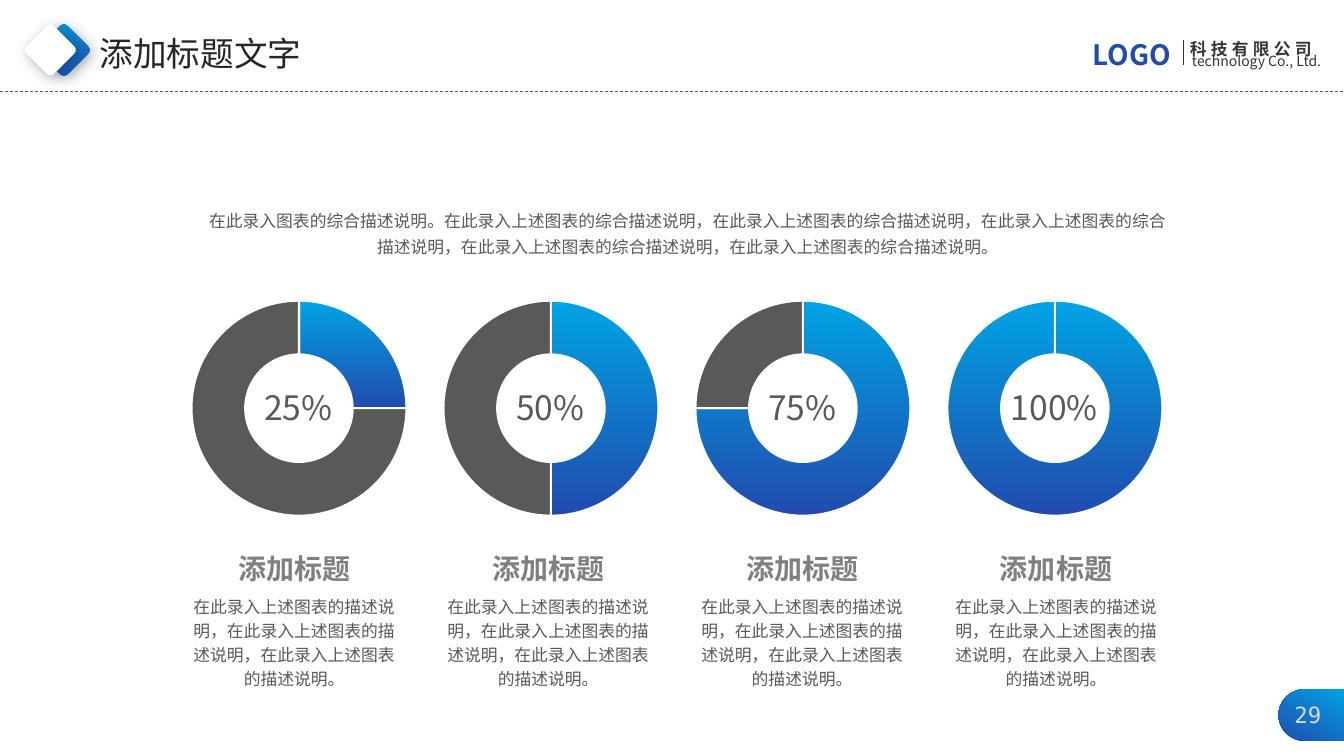
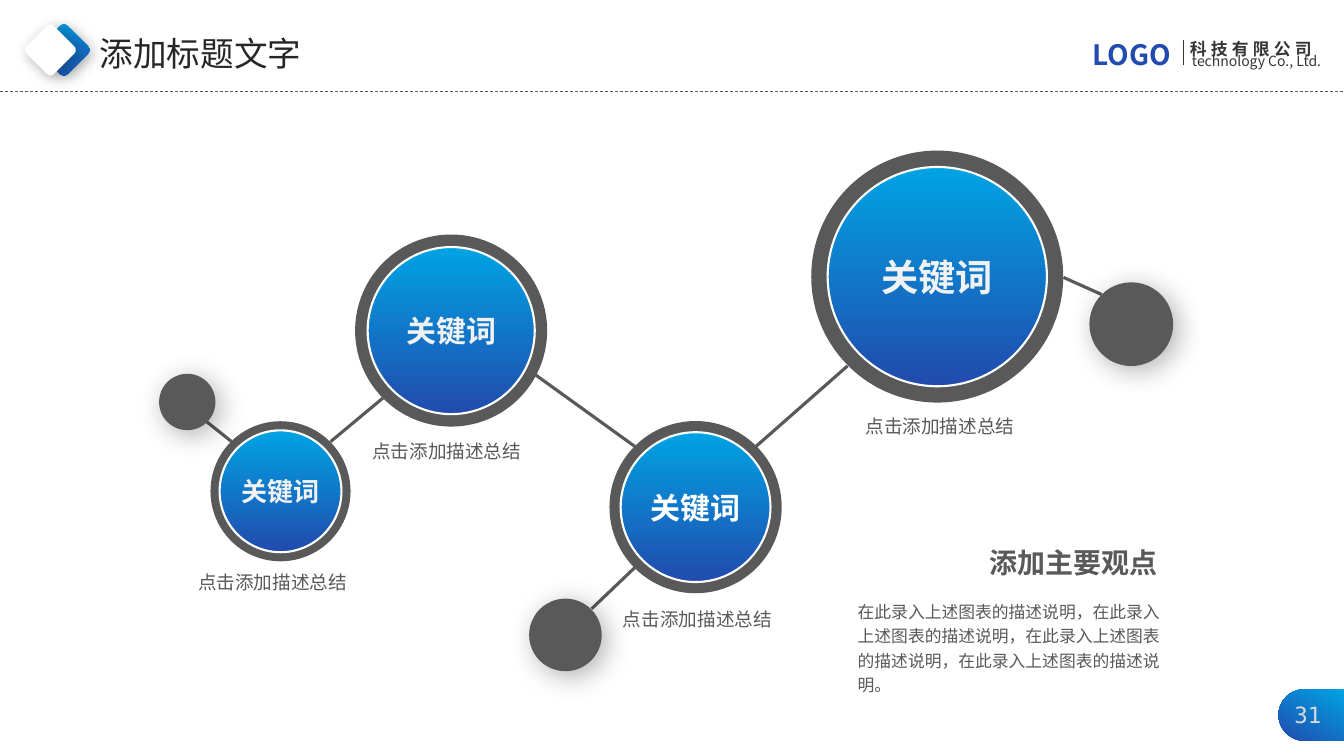
from math import cos, pi, sin

from lxml.etree import SubElement
from pptx import Presentation
from pptx.chart.data import CategoryChartData
from pptx.dml.color import RGBColor
from pptx.enum.chart import XL_CHART_TYPE
from pptx.enum.dml import MSO_LINE
from pptx.enum.shapes import MSO_CONNECTOR, MSO_SHAPE
from pptx.enum.text import MSO_ANCHOR, MSO_AUTO_SIZE, PP_ALIGN
from pptx.oxml import parse_xml
from pptx.oxml.ns import nsdecls, qn
from pptx.util import Cm, Pt

SLIDE_WIDTH, SLIDE_HEIGHT = 33.87, 19.05
FONT = "Noto Sans CJK SC"
SKY, NAVY, GREY, INK, WHITE = "00A3E4", "214BAE", "595959", "343634", "FFFFFF"
LEFT, CENTER, RIGHT = PP_ALIGN.LEFT, PP_ALIGN.CENTER, PP_ALIGN.RIGHT

# Text styles: font values, colour, and optional paragraph values
TITLE = {"font": {"size": Pt(24), "bold": False}, "color": "262626"}
BODY = {"font": {"size": Pt(12)}, "color": GREY, "spacing": 1.2}
SUMMARY = BODY | {"align": CENTER, "spacing": 1.3}
DESCRIPTION = BODY | {"align": CENTER}
HEADING = {"font": {"size": Pt(20), "bold": True}, "color": "808080", "align": CENTER}
MAIN_POINT = HEADING | {"color": GREY, "align": RIGHT}
PERCENT = {"font": {"size": Pt(24)}, "color": GREY, "align": CENTER}
CAPTION = {"font": {"size": Pt(13.3)}, "color": GREY, "align": CENTER, "spacing": Pt(18.8)}
NUMBER = {"font": {"size": Pt(16), "name": "DejaVu Sans Mono"}, "color": "D9D9D9",
          "align": CENTER}

SLIDE_TITLE = "添加标题文字"
BRAND_TEXTS = [
    ("科技有限公司", (29.74, 0.84, 4.1, 0.76),
     {"font": {"size": Pt(12), "bold": True}, "color": INK, "tracking": 300}),
    ("technology Co., Ltd.", (29.79, 1.19, 4.05, 0.69),
     {"font": {"size": Pt(10)}, "color": INK}),
    ("LOGO", (27.28, 0.81, 2.87, 1.12),
     {"font": {"size": Pt(20), "bold": True}, "color": NAVY}),
]

SUMMARY_TEXT = ("在此录入图表的综合描述说明。在此录入上述图表的综合描述说明，"
                "在此录入上述图表的综合描述说明，在此录入上述图表的综合描述说明，"
                "在此录入上述图表的综合描述说明，在此录入上述图表的综合描述说明。")
PERCENTAGES = [25, 50, 75, 100]
COLUMN_HEADING = "添加标题"
COLUMN_TEXT = "在此录入上述图表的描述说明，在此录入上述图表的描述说明，在此录入上述图表的描述说明。"

KEYWORD = "关键词"
KEYWORD_CAPTION = "点击添加描述总结"
# centre x, centre y, diameter, text size, text colour, caption centre x, caption top
KEYWORD_CIRCLES = [
    (7.07, 12.38, 3.53, 18.6, "F2F2F2", 6.87, 14.17),
    (11.37, 8.33, 4.84, 21.4, "F2F2F2", 11.26, 10.85),
    (17.53, 12.78, 4.34, 21.4, WHITE, 17.58, 15.09),
    (23.62, 6.97, 6.35, 26.6, "F2F2F2", 23.69, 10.24),
]
INNER_RATIO = 0.87
LINKS = [
    (8.33, 11.13, 9.65, 10.03), (13.46, 9.42, 16, 11.25), (19.05, 11.25, 21.36, 9.22),
    (4.85, 10.34, 5.84, 11.13), (14.91, 15.34, 16, 14.3), (26.8, 6.99, 27.76, 7.42),
]
DOTS = [(4.72, 10.13, 1.42), (14.25, 16, 1.83), (28.51, 8.17, 2.11)]
POINT_HEADING = "添加主要观点"
POINT_TEXT = ("在此录入上述图表的描述说明，在此录入上述图表的描述说明，"
              "在此录入上述图表的描述说明，在此录入上述图表的描述说明。")


def rgb(color):
    return RGBColor.from_string(color)


def box(*lengths):
    return [Cm(length) for length in lengths]


def around(x, y, diameter):
    """Box of a circle, from its centre."""
    return x - diameter / 2, y - diameter / 2, diameter, diameter


def paint(fill, color):
    """Fill with one colour, or with a (start, end, clockwise angle) gradient."""
    if isinstance(color, str):
        fill.solid()
        fill.fore_color.rgb = rgb(color)
        return
    start, end, angle = color
    fill.gradient()
    fill.gradient_angle = 360 - angle
    for stop, stop_color in zip(fill.gradient_stops, (start, end)):
        stop.color.rgb = rgb(stop_color)


def write(shape, text, style, wrap=True, anchor=MSO_ANCHOR.TOP):
    frame = shape.text_frame
    frame.auto_size = MSO_AUTO_SIZE.NONE
    frame.word_wrap = wrap
    frame.vertical_anchor = anchor
    paragraph = frame.paragraphs[0]
    properties = paragraph._p.get_or_add_pPr()
    for name in ("marL", "indent"):
        properties.set(name, "0")
    SubElement(properties, qn("a:buNone"))
    paragraph.alignment = style.get("align", LEFT)
    paragraph.line_spacing = style.get("spacing", 1.0)
    paragraph.space_before = Pt(0)
    run = paragraph.add_run()
    run.text = text
    for name, value in ({"name": FONT} | style["font"]).items():
        setattr(run.font, name, value)
    run.font.color.rgb = rgb(style["color"])
    run_properties = run._r.get_or_add_rPr()
    SubElement(run_properties, qn("a:ea"), typeface=run.font.name)
    if "tracking" in style:
        run_properties.set("spc", str(style["tracking"]))


def add_text(slide, text, place, style, wrap=True):
    write(slide.shapes.add_textbox(*box(*place)), text, style, wrap)


def finish(shape, color, outline=None, blur=None, distance=0):
    """Set fill, outline and, when a blur is given, a soft shadow."""
    shape.shadow.inherit = False
    paint(shape.fill, color)
    if outline:
        shape.line.color.rgb = rgb(outline)
        shape.line.width = Pt(1.5)
    else:
        shape.line.fill.background()
    if blur:
        shape._element.spPr.find(qn("a:effectLst")).append(parse_xml(
            f'<a:outerShdw {nsdecls("a")} blurRad="{Pt(blur)}" dist="{Pt(distance)}" '
            'dir="2700000" algn="tl" rotWithShape="0"><a:srgbClr val="000000">'
            '<a:alpha val="30000"/></a:srgbClr></a:outerShdw>'))


def add_shape(slide, kind, place, color, **finishing):
    shape = slide.shapes.add_shape(kind, *box(*place))
    finish(shape, color, **finishing)
    return shape


def add_line(slide, ends, color, width, dash=None):
    line = slide.shapes.add_connector(MSO_CONNECTOR.STRAIGHT, *box(*ends))
    line.line.color.rgb = rgb(color)
    line.line.width = Pt(width)
    if dash:
        line.line.dash_style = dash
    SubElement(line._element.spPr, qn("a:effectLst"))


def add_number_tab(slide, x=32.87, y=18.02, radius=0.65, steps=24):
    """Tab with a half-round left end that runs to the slide's right edge."""
    angles = [pi / 2 + pi * step / steps for step in range(steps + 1)]
    arc = [box(x + radius * cos(angle), y + radius * sin(angle)) for angle in angles]
    builder = slide.shapes.build_freeform(*box(SLIDE_WIDTH, y + radius), scale=1.0)
    builder.add_line_segments(arc + [box(SLIDE_WIDTH, y - radius)], close=True)
    finish(builder.convert_to_shape(), (NAVY, SKY, 300))


def decorate_layout(slide, layout):
    """Draw the shared header and number tab, and move them to the layout."""
    add_number_tab(slide)
    for text, place, style in BRAND_TEXTS:
        add_text(slide, text, place, style)
    add_line(slide, (29.82, 1.02, 29.82, 1.65), INK, 1)
    add_line(slide, (0, 2.31, SLIDE_WIDTH, 2.31), GREY, 0.5, MSO_LINE.DASH)
    for left, color in ((1.12, (SKY, NAVY, 20)), (0.78, WHITE)):
        diamond = add_shape(slide, MSO_SHAPE.ROUNDED_RECTANGLE, (left, 0.77, 0.98, 0.98),
                            color, blur=10, distance=3)
        diamond.adjustments[0] = 0.125
        diamond.rotation = 45
    for shape in list(slide.shapes):
        if not shape.is_placeholder:
            layout.shapes.element.append(shape.element)
    for number, shape in enumerate(layout.shapes, 2):
        shape.element.xpath(".//p:cNvPr")[0].set("id", str(number))


def place_body(slide, text, place, style):
    body = slide.placeholders[1]
    body.left, body.top, body.width, body.height = box(*place)
    write(body, text, style)


def add_ring(slide, percent, place):
    data = CategoryChartData()
    data.categories = ["1", "2"]
    data.add_series("Series 1", (percent, 100 - percent))
    chart = slide.shapes.add_chart(XL_CHART_TYPE.DOUGHNUT, *box(*place), data).chart
    chart.has_title = chart.has_legend = False
    chart.font.name, chart.font.size = "Calibri", Pt(10)
    chart.font.color.rgb = rgb("000000")
    plot = chart.plots[0]
    plot.vary_by_categories = True
    for index, color in enumerate([(SKY, NAVY, 90), GREY]):
        part = plot.series[0].points[index].format
        paint(part.fill, color)
        part.line.color.rgb = rgb(WHITE)
        part.line.width = Pt(1.5)
    area = chart._chartSpace.chart.plotArea
    area.find(f'{qn("c:doughnutChart")}/{qn("c:holeSize")}').set("val", "75")
    for layout in area.findall(qn("c:layout")):
        area.remove(layout)
    layout = SubElement(area, qn("c:layout"))
    area.insert(0, layout)
    manual = SubElement(layout, qn("c:manualLayout"))
    for name, value in (("layoutTarget", "inner"), ("xMode", "edge"), ("yMode", "edge"),
                        ("x", 0.06), ("y", 0.09), ("w", 0.88), ("h", 0.83)):
        SubElement(manual, qn(f"c:{name}"), val=str(value))


def fill_ring_slide(slide):
    place_body(slide, SUMMARY_TEXT, (4.95, 5.03, 24.77, 1.6), SUMMARY)
    for column, percent in enumerate(PERCENTAGES):
        ring_shift, text_left = 6.35 * column, 4.62 + 6.4 * column
        add_ring(slide, percent, (4.45 + ring_shift, 6.99, 6.17, 6.53))
        add_text(slide, f"{percent}%", (5.36 + ring_shift, 9.63, 4.32, 1.27), PERCENT)
        add_text(slide, COLUMN_HEADING, (text_left, 13.77, 5.59, 1.12), HEADING)
        add_text(slide, COLUMN_TEXT, (text_left, 14.81, 5.59, 2.72), DESCRIPTION)


def fill_keyword_slide(slide):
    place_body(slide, POINT_TEXT, (21.36, 14.94, 8.46, 2.72), BODY)
    add_text(slide, POINT_HEADING, (20.9, 13.61, 8.53, 1.17), MAIN_POINT)
    for x, y, diameter, size, color, caption_x, caption_top in KEYWORD_CIRCLES:
        add_shape(slide, MSO_SHAPE.OVAL, around(x, y, diameter), GREY)
        disc = add_shape(slide, MSO_SHAPE.OVAL, around(x, y, diameter * INNER_RATIO),
                         (SKY, NAVY, 90), outline=WHITE)
        style = {"font": {"size": Pt(size), "bold": True}, "color": color, "align": CENTER}
        write(disc, KEYWORD, style, wrap=False, anchor=MSO_ANCHOR.MIDDLE)
        add_text(slide, KEYWORD_CAPTION, (caption_x - 2.53, caption_top, 5.06, 0.91), CAPTION)
    for ends in LINKS:
        add_line(slide, ends, GREY, 2.25)
    for dot in DOTS:
        add_shape(slide, MSO_SHAPE.OVAL, around(*dot), GREY, blur=20, distance=5)


def main():
    presentation = Presentation()
    presentation.slide_width, presentation.slide_height = box(SLIDE_WIDTH, SLIDE_HEIGHT)
    layout = presentation.slide_layouts[1]
    title = layout.placeholders[0]
    title.left, title.top, title.width, title.height = box(2.26, 0.69, 12, 1.27)
    for number, fill_slide in ((29, fill_ring_slide), (31, fill_keyword_slide)):
        slide = presentation.slides.add_slide(layout)
        if len(presentation.slides) == 1:
            decorate_layout(slide, layout)
        write(slide.shapes.title, SLIDE_TITLE, TITLE)
        fill_slide(slide)
        add_text(slide, str(number), (32.12, 17.55, 1.68, 0.94), NUMBER)
    presentation.save("out.pptx")


if __name__ == "__main__":
    main()
